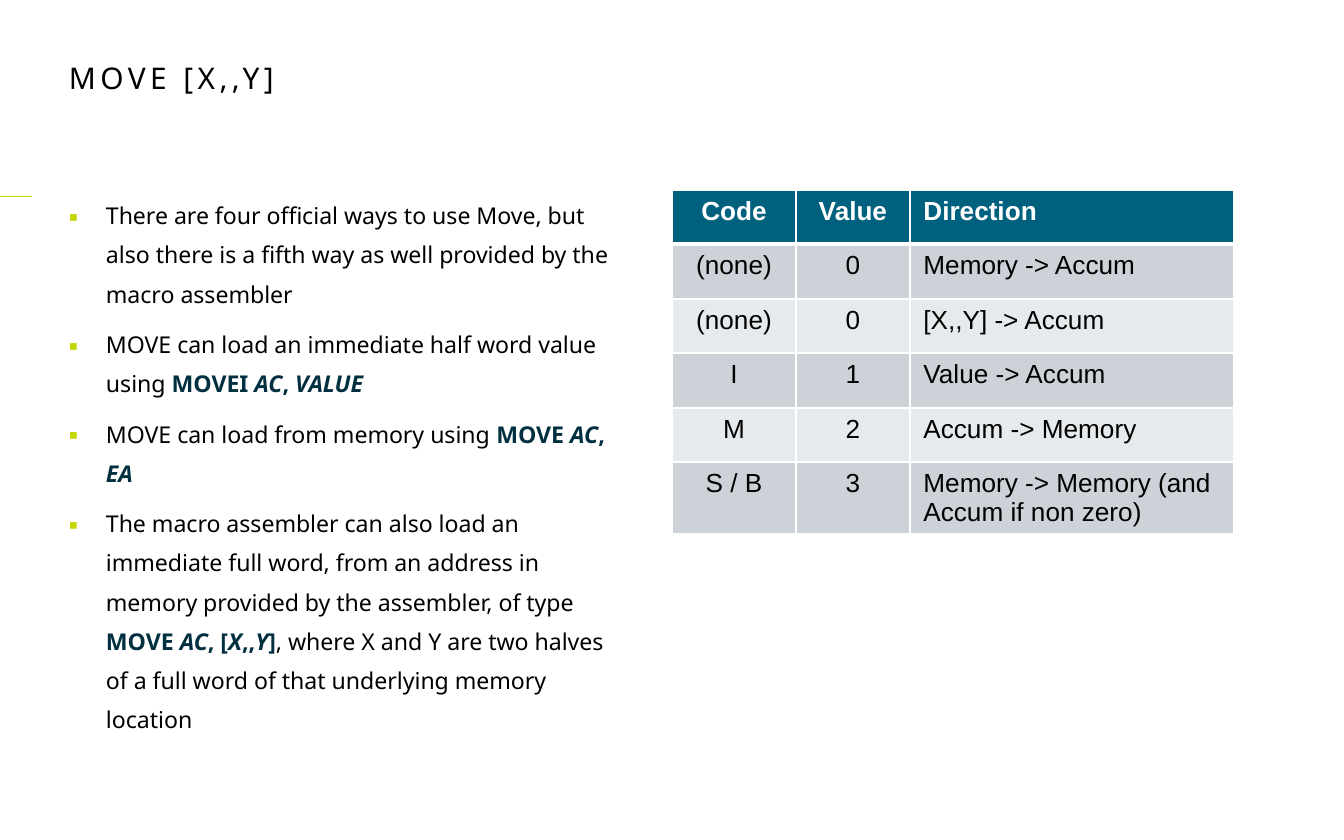
from lxml.etree import SubElement
from pptx import Presentation
from pptx.dml.color import RGBColor
from pptx.enum.text import MSO_ANCHOR, MSO_AUTO_SIZE, PP_ALIGN
from pptx.enum.shapes import MSO_CONNECTOR
from pptx.oxml.ns import qn
from pptx.util import Emu, Pt

BLACK = RGBColor(0x00, 0x00, 0x00)
WHITE = RGBColor(0xFF, 0xFF, 0xFF)
LIME = RGBColor(0xC4, 0xD6, 0x00)
NAVY = RGBColor(0x00, 0x30, 0x40)
TEAL = RGBColor(0x00, 0x61, 0x7F)
BANDS = [RGBColor(0xCC, 0xD2, 0xD8), RGBColor(0xE7, 0xEA, 0xEC)]
TEXT_FONT, TABLE_FONT = "Noto Sans", "Arial"

# Content: each bullet is a list of (text, style); "code" is bold, "arg" bold italic
TITLE = "MOVE [X,,Y]"
BULLETS = [
    [("There are four official ways to use Move, but also there is a fifth way "
      "as well provided by the macro assembler", "plain")],
    [("MOVE can load an immediate half word value using ", "plain"),
     ("MOVEI ", "code"), ("AC", "arg"), (", ", "code"), ("VALUE", "arg")],
    [("MOVE can load from memory using ", "plain"),
     ("MOVE ", "code"), ("AC", "arg"), (", ", "code"), ("EA", "arg")],
    [("The macro assembler can also load an immediate full word, from an address "
      "in memory provided by the assembler, of type ", "plain"),
     ("MOVE ", "code"), ("AC", "arg"), (", [", "code"), ("X", "arg"),
     (",,", "code"), ("Y", "arg"), ("]", "code"),
     (", where X and Y are two halves of a full word of that underlying memory "
      "location", "plain")],
]
ROWS = [
    ("Code", "Value", "Direction"),
    ("(none)", "0", "Memory -> Accum"),
    ("(none)", "0", "[X,,Y] -> Accum"),
    ("I", "1", "Value -> Accum"),
    ("M", "2", "Accum -> Memory"),
    ("S / B", "3", "Memory -> Memory (and Accum if non zero)"),
]

# Layout in px
SCALE = 914400 / 134.4
LEFT, TOP, COL_W = 69, 190, 562
TABLE_LEFT, TABLE_COLS, ROW_H = 672, (124, 114, 324), 54
INDENT = 37


def px(n):
    return Emu(round(n * SCALE))


def place(sp, x, y, w, h):
    sp.left, sp.top, sp.width, sp.height = px(x), px(y), px(w), px(h)
    tf = sp.text_frame
    tf.margin_left = tf.margin_right = tf.margin_top = tf.margin_bottom = 0
    tf.word_wrap = True
    tf.auto_size = MSO_AUTO_SIZE.NONE
    tf.vertical_anchor = MSO_ANCHOR.TOP
    return tf


def add_run(p, text, font, size, color, bold=False, italic=False):
    r = p.add_run()
    r.text = text
    r.font.name, r.font.size = font, Pt(size)
    r.font.bold, r.font.italic = bold, italic
    r.font.color.rgb = color
    return r


def set_bullet(p):
    pPr = p._p.get_or_add_pPr()
    pPr.set("marL", str(px(INDENT)))
    pPr.set("indent", str(-px(INDENT)))
    clr = SubElement(pPr, qn("a:buClr"))
    SubElement(clr, qn("a:srgbClr"), val=str(LIME))
    SubElement(pPr, qn("a:buFont"), typeface=TEXT_FONT)
    SubElement(pPr, qn("a:buChar"), char="▪")


def set_borders(cell, bottom):
    tcPr = cell._tc.get_or_add_tcPr()
    for side, width in (("L", 1), ("R", 1), ("T", 1), ("B", bottom)):
        ln = SubElement(tcPr, qn("a:ln" + side), w=str(Pt(width)))
        fill = SubElement(ln, qn("a:solidFill"))
        SubElement(fill, qn("a:srgbClr"), val=str(WHITE))


prs = Presentation()
prs.slide_width, prs.slide_height = px(1344), px(840)
s = prs.slides.add_slide(prs.slide_layouts[1])

# Margin rule
rule = s.shapes.add_connector(MSO_CONNECTOR.STRAIGHT, px(-16), px(196), px(32), px(196))
rule.line.color.rgb = LIME
rule.line.width = Pt(0.5)
SubElement(rule._element.spPr, qn("a:effectLst"))

# Title
p = place(s.shapes.title, LEFT, 60, 804, 36).paragraphs[0]
p.alignment = PP_ALIGN.LEFT
r = add_run(p, TITLE, TEXT_FONT, 16, BLACK)
r.font._element.set("spc", "240")

# Bullet list
tf = place(s.placeholders[1], LEFT, TOP, COL_W, 548)
for i, runs in enumerate(BULLETS):
    p = tf.add_paragraph() if i else tf.paragraphs[0]
    p.line_spacing, p.space_before, p.space_after = Pt(21), Pt(0), Pt(6)
    set_bullet(p)
    for text, style in runs:
        add_run(p, text, TEXT_FONT, 12.4, BLACK if style == "plain" else NAVY,
                style != "plain", style == "arg")

# Code table
table = s.shapes.add_table(len(ROWS), len(TABLE_COLS), px(TABLE_LEFT), px(TOP),
                           px(COL_W), px(ROW_H * len(ROWS))).table
for col, w in zip(table.columns, TABLE_COLS):
    col.width = px(w)
for i, row in enumerate(ROWS):
    header = i == 0
    table.rows[i].height = px(ROW_H + i % 2)
    for j, text in enumerate(row):
        cell = table.cell(i, j)
        set_borders(cell, 3 if header else 1)
        cell.fill.solid()
        cell.fill.fore_color.rgb = TEAL if header else BANDS[(i - 1) % 2]
        p = cell.text_frame.paragraphs[0]
        p.alignment = PP_ALIGN.CENTER if j < 2 else PP_ALIGN.LEFT
        add_run(p, text, TABLE_FONT, 14, WHITE if header else BLACK, header)

prs.save("out.pptx")
